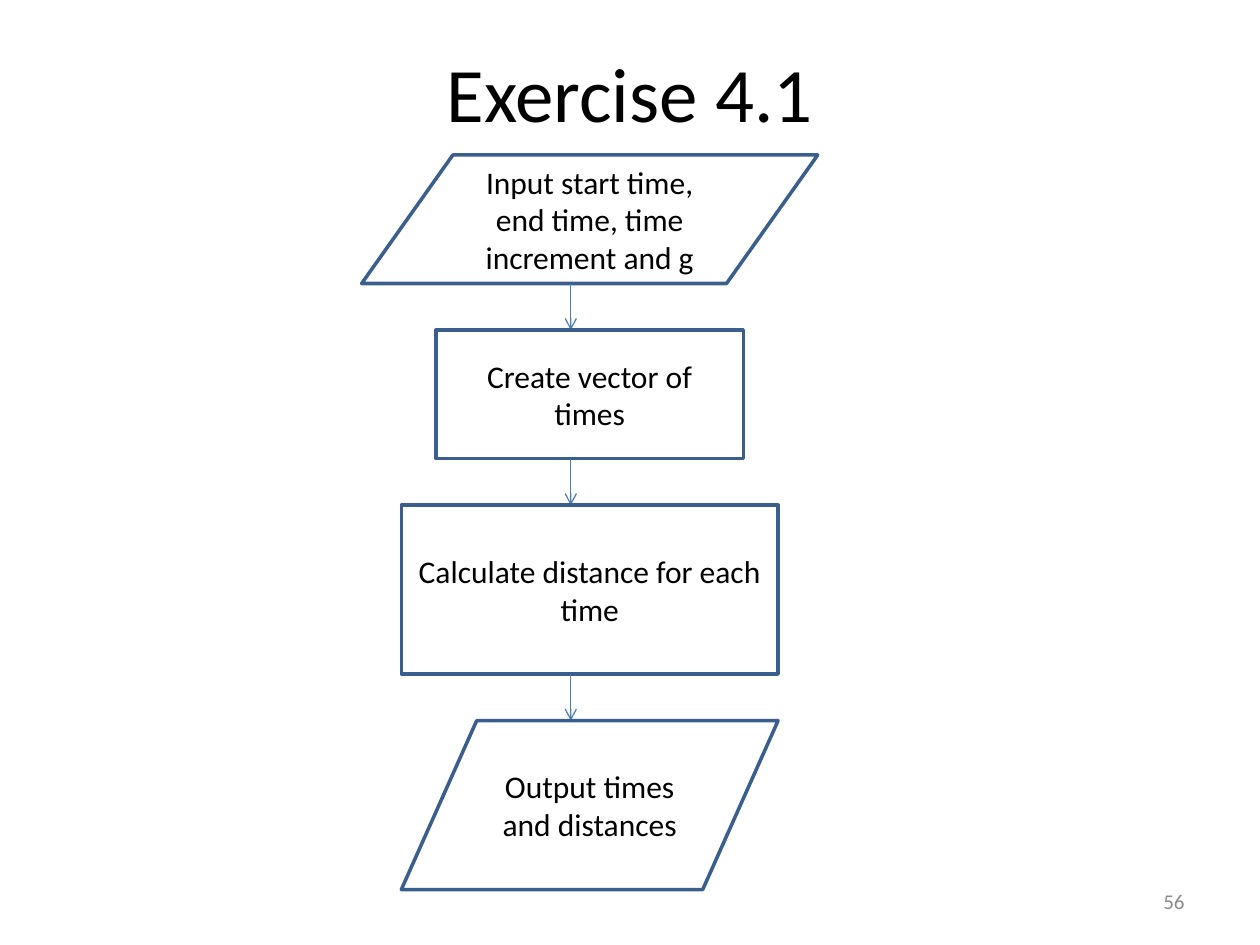
"""Build the Exercise 4.1 flowchart slide."""
from lxml import etree
from pptx import Presentation
from pptx import util as u
from pptx.dml.color import RGBColor
from pptx.enum import shapes, text
from pptx.oxml.ns import qn

HEADING = "Exercise 4.1"
PAGE = "56"
DATA = shapes.MSO_SHAPE.FLOWCHART_DATA
PROCESS = shapes.MSO_SHAPE.RECTANGLE
STEPS = [
    ("Input start time, end time, time increment and g", DATA, 3.62, 1.02),
    ("Create vector of times", PROCESS, 2.44, 1.02),
    ("Calculate distance for each time", PROCESS, 2.99, 1.34),
    ("Output times and distances", DATA, 2.99, 1.34),
]
WIDTH, HEIGHT = 10, 7.5
TOP, GAP = 1.23, 0.37
CENTRE, ARROW_X = 4.68, 4.53
BLACK, GREY, OUTLINE, ARROW = "000000", "8C8C8C", "3A5F8C", "4B7EBC"


def colour(value):
    """Turn a hex string into a colour."""
    return RGBColor.from_string(value)


def write(frame, words, size, ink, align):
    """Put one formatted paragraph in a text frame."""
    frame.word_wrap = True
    frame.vertical_anchor = text.MSO_ANCHOR.MIDDLE
    paragraph = frame.paragraphs[0]
    paragraph.text = words
    paragraph.alignment = align
    paragraph.font.size = u.Pt(size)
    paragraph.font.name = "Calibri"
    paragraph.font.color.rgb = colour(ink)


def add_step(slide, words, kind, top, width, height):
    """Draw one outlined step centred on the flow."""
    box = (CENTRE - width / 2, top, width, height)
    step = slide.shapes.add_shape(kind, *map(u.Inches, box))
    step.shadow.inherit = False
    step.fill.background()
    step.line.color.rgb = colour(OUTLINE)
    step.line.width = u.Pt(2)
    write(step.text_frame, words, 18, BLACK, text.PP_ALIGN.CENTER)


def add_arrow(slide, top):
    """Draw an arrow down across one gap."""
    ends = (ARROW_X, top, ARROW_X, top + GAP)
    arrow = slide.shapes.add_connector(shapes.MSO_CONNECTOR.STRAIGHT, *map(u.Inches, ends))
    arrow.line.color.rgb = colour(ARROW)
    arrow.line.width = u.Pt(0.75)
    etree.SubElement(arrow.line._get_or_add_ln(), qn("a:tailEnd"), type="arrow")
    etree.SubElement(arrow._element.spPr, qn("a:effectLst"))


def main():
    """Build and save the slide."""
    deck = Presentation()
    deck.slide_width, deck.slide_height = u.Inches(WIDTH), u.Inches(HEIGHT)
    slide = deck.slides.add_slide(deck.slide_layouts[5])

    heading = slide.shapes.title
    heading.left, heading.top, heading.width, heading.height = map(u.Inches, (0.5, 0.3, 9, 0.85))
    write(heading.text_frame, HEADING, 44, BLACK, text.PP_ALIGN.CENTER)

    page = slide.shapes.add_textbox(*map(u.Inches, (7.17, 6.95, 2.33, 0.4)))
    write(page.text_frame, PAGE, 12, GREY, text.PP_ALIGN.RIGHT)

    top = TOP
    for index, (words, kind, width, height) in enumerate(STEPS):
        if index:
            add_arrow(slide, top - GAP)
        add_step(slide, words, kind, top, width, height)
        top += height + GAP

    deck.save("out.pptx")


if __name__ == "__main__":
    main()
